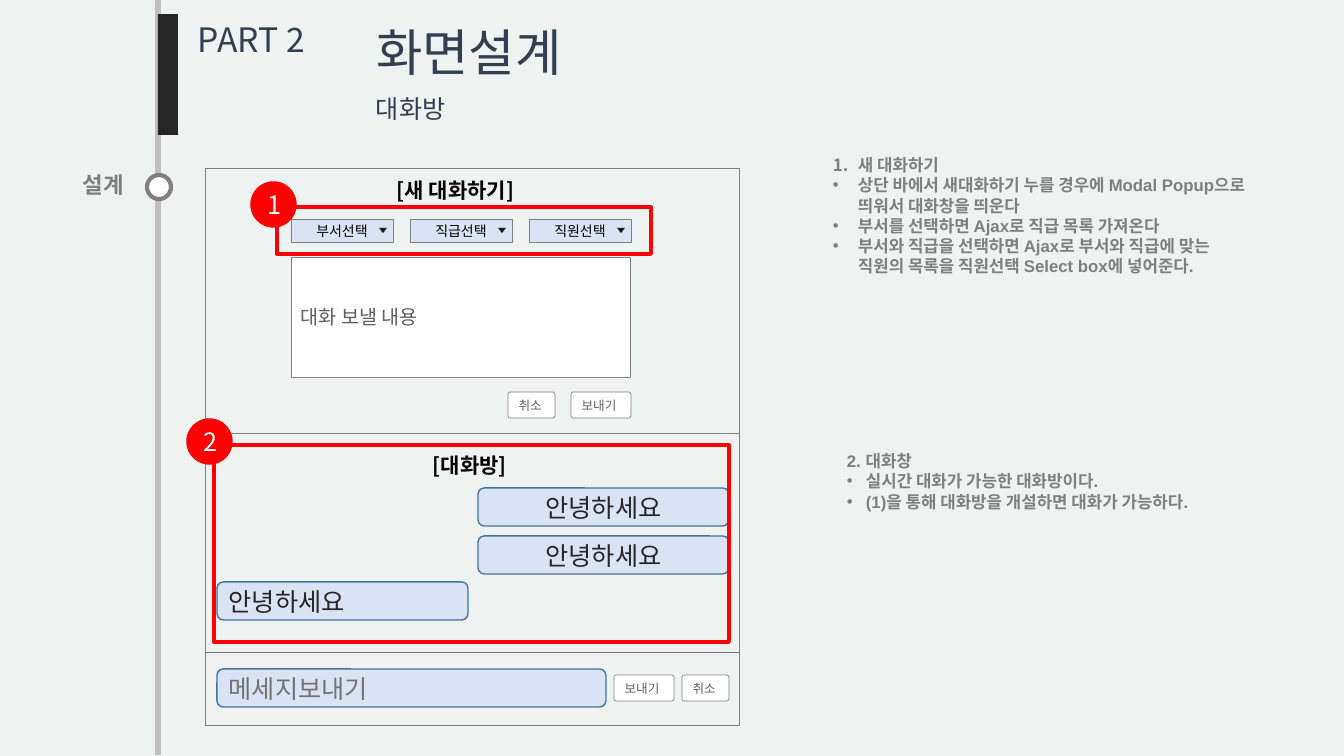
from lxml import etree
from pptx import Presentation, util as u
from pptx.dml.color import RGBColor
from pptx.enum import shapes, text
from pptx.oxml.ns import qn

PX = 914400 / 100.8
KR, LATIN, UI = "Noto Sans CJK KR", "Arial", "Karla"
NAVY, GRAY, EDGE, RED = "333F50", "7F7F7F", "808080", "FF0000"
BLACK, WHITE, PALE, INK = "000000", "FFFFFF", "DAE3F3", "262626"
BACKGROUND = "EEF2F0"

# Content: places are left, top, width, height in px
TITLE = ("화면설계", (366, 16, 224, 72))
LABELS = [  # words, place, size, colour, bold, wrap
    ("설계", (73, 166, 65, 37), 16, GRAY, True, False),
    ("PART 2", (188, 14, 128, 50), 24, NAVY, False, False),
    ("대화방", (366, 88, 434, 40), 18, NAVY, False, True),
    ("[새 대화하기]", (387, 173, 149, 35), 15, BLACK, True, False),
    ("[대화방]", (423, 448, 98, 60), 15, BLACK, True, True),
]
NOTES = [  # place, indent, lines of (bullet, words)
    ((823, 150, 443, 132), 25, [
        ("1.", "새 대화하기"),
        ("•", "상단 바에서 새대화하기 누를 경우에 Modal Popup으로 띄워서 대화창을 띄운다"),
        ("•", "부서를 선택하면 Ajax로 직급 목록 가져온다"),
        ("•", "부서와 직급을 선택하면 Ajax로 부서와 직급에 맞는 직원의 목록을 직원선택 Select box에 넣어준다."),
    ]),
    ((837, 446, 443, 72), 19, [
        ("", "2. 대화창"),
        ("•", "실시간 대화가 가능한 대화방이다."),
        ("•", "(1)을 통해 대화방을 개설하면 대화가 가능하다."),
    ]),
]
PANELS = [(205, 168, 534, 265), (205, 433, 534, 292)]
DROPDOWNS = ["부서선택", "직급선택", "직원선택"]
BUTTONS = [("보내기", 571, 392), ("취소", 508, 392),
           ("보내기", 614, 675), ("취소", 682, 675)]
BUTTON_WIDTHS = {"보내기": 60, "취소": 47}
BUBBLES = [  # words, place, colour, centred
    ("안녕하세요", (217, 582, 251, 38), INK, False),
    ("안녕하세요", (478, 536, 251, 38), INK, True),
    ("안녕하세요", (478, 488, 251, 38), INK, True),
    ("메세지보내기", (217, 669, 389, 38), "767171", False),
]
CALLOUTS = [  # number, framed area, badge left and top
    ("1", (277, 207, 374, 47), (251, 182)),
    ("2", (214, 445, 515, 197), (187, 419)),
]
BADGE = 45


def px(*lengths):
    return [u.Emu(round(n * PX)) for n in lengths]


def colour(value):
    return RGBColor.from_string(value)


def write(paragraph, words, size, ink, font=KR, bold=False, centred=False):
    paragraph.alignment = text.PP_ALIGN.CENTER if centred else text.PP_ALIGN.LEFT
    run = paragraph.add_run()
    run.text = words
    for key, value in {"size": u.Pt(size), "name": font, "bold": bold}.items():
        setattr(run.font, key, value)
    run.font.color.rgb = colour(ink)
    east_asian = etree.SubElement(run.font._element, qn("a:ea"))
    east_asian.set("typeface", KR)


def set_bullet(paragraph, bullet, indent):
    props = paragraph._p.get_or_add_pPr()
    props.set("marL", str(px(indent)[0]))
    props.set("indent", str(px(-indent)[0]))
    if bullet == "1.":
        etree.SubElement(props, qn("a:buAutoNum"), type="arabicPeriod")
    else:
        etree.SubElement(props, qn("a:buFont"), typeface="Arial")
        etree.SubElement(props, qn("a:buChar"), char=bullet)


def add_frame(place, wrap=True):
    frame = slide.shapes.add_textbox(*px(*place)).text_frame
    frame.word_wrap = wrap
    frame.auto_size = text.MSO_AUTO_SIZE.SHAPE_TO_FIT_TEXT
    return frame


def add_part(kind, place, fill=None, line=None, weight=0.5, corner=None,
             words="", wrap=True, **style):
    part = slide.shapes.add_shape(getattr(shapes.MSO_SHAPE, kind), *px(*place))
    part.shadow.inherit = False
    if fill:
        part.fill.solid()
        part.fill.fore_color.rgb = colour(fill)
    else:
        part.fill.background()
    if line:
        part.line.color.rgb = colour(line)
        part.line.width = u.Pt(weight)
    else:
        part.line.fill.background()
    if corner is not None:
        part.adjustments[0] = corner
    if words:
        part.text_frame.word_wrap = wrap
        part.text_frame.vertical_anchor = text.MSO_ANCHOR.MIDDLE
        write(part.text_frame.paragraphs[0], words, **style)
    return part


def add_rule(x1, y1, x2, y2, ink, weight):
    rule = slide.shapes.add_connector(
        shapes.MSO_CONNECTOR.STRAIGHT, *px(x1, y1, x2, y2))
    rule.line.color.rgb = colour(ink)
    rule.line.width = u.Pt(weight)
    etree.SubElement(rule._element.spPr, qn("a:effectLst"))


deck = Presentation()
deck.slide_width, deck.slide_height = px(1344, 756)
slide = deck.slides.add_slide(deck.slide_layouts[5])
slide.background.fill.solid()
slide.background.fill.fore_color.rgb = colour(BACKGROUND)

# Title
title_words, title_place = TITLE
title = slide.shapes.title
for side, length in zip(("left", "top", "width", "height"), px(*title_place)):
    setattr(title, side, length)
for key, value in {"word_wrap": False, "vertical_anchor": text.MSO_ANCHOR.TOP,
                   "auto_size": text.MSO_AUTO_SIZE.SHAPE_TO_FIT_TEXT}.items():
    setattr(title.text_frame, key, value)
write(title.text_frame.paragraphs[0], title_words, 36, NAVY)

# Timeline on the left
add_rule(158, 0, 158, 755, "BFBFBF", 4.5)
add_part("RECTANGLE", (158, 14, 20, 121), INK)
add_part("OVAL", (147, 175, 24, 24), WHITE, EDGE, 3)

# Screen panels and message field
for panel in PANELS:
    add_part("RECTANGLE", panel, line=EDGE)
add_rule(205, 652, 739, 652, "767171", 0.5)
add_part("RECTANGLE", (291, 257, 339, 120), WHITE, EDGE,
         words="대화 보낼 내용", size=14, ink="5F5F5F", font=UI)

# Drop-downs
for i, choice in enumerate(DROPDOWNS):
    left = 291 + 119 * i
    add_part("RECTANGLE", (left, 219, 102, 23), PALE, GRAY, 0.25,
             words=choice, size=10, ink=BLACK, centred=True)
    arrow = add_part("ISOSCELES_TRIANGLE", (left + 88, 228, 8, 5), "0D0D0D", EDGE, 0.25)
    arrow.rotation = 180

# Buttons
for caption, left, top in BUTTONS:
    add_part("ROUNDED_RECTANGLE", (left, top, BUTTON_WIDTHS[caption], 26), WHITE, EDGE,
             corner=0.09, words=caption, wrap=False, size=9, ink="5F5F5F", font=UI)

# Chat bubbles
for message, place, ink, centred in BUBBLES:
    add_part("ROUNDED_RECTANGLE", place, PALE, "43739E", 1,
             words=message, size=18, ink=ink, centred=centred)

# Headings and labels
for words, place, size, ink, bold, wrap in LABELS:
    write(add_frame(place, wrap).paragraphs[0], words, size, ink, bold=bold)

# Explanations on the right
for place, indent, lines in NOTES:
    note = add_frame(place)
    for i, (bullet, words) in enumerate(lines):
        paragraph = note.add_paragraph() if i else note.paragraphs[0]
        write(paragraph, words, 12, GRAY, LATIN, bold=True)
        if bullet:
            set_bullet(paragraph, bullet, indent)

# Numbered callouts
for number, area, corner in CALLOUTS:
    add_part("RECTANGLE", area, line=RED, weight=2.75)
    add_part("OVAL", (*corner, BADGE, BADGE), RED, RED, 1,
             words=number, size=18, ink=WHITE, centred=True)

deck.save("out.pptx")
